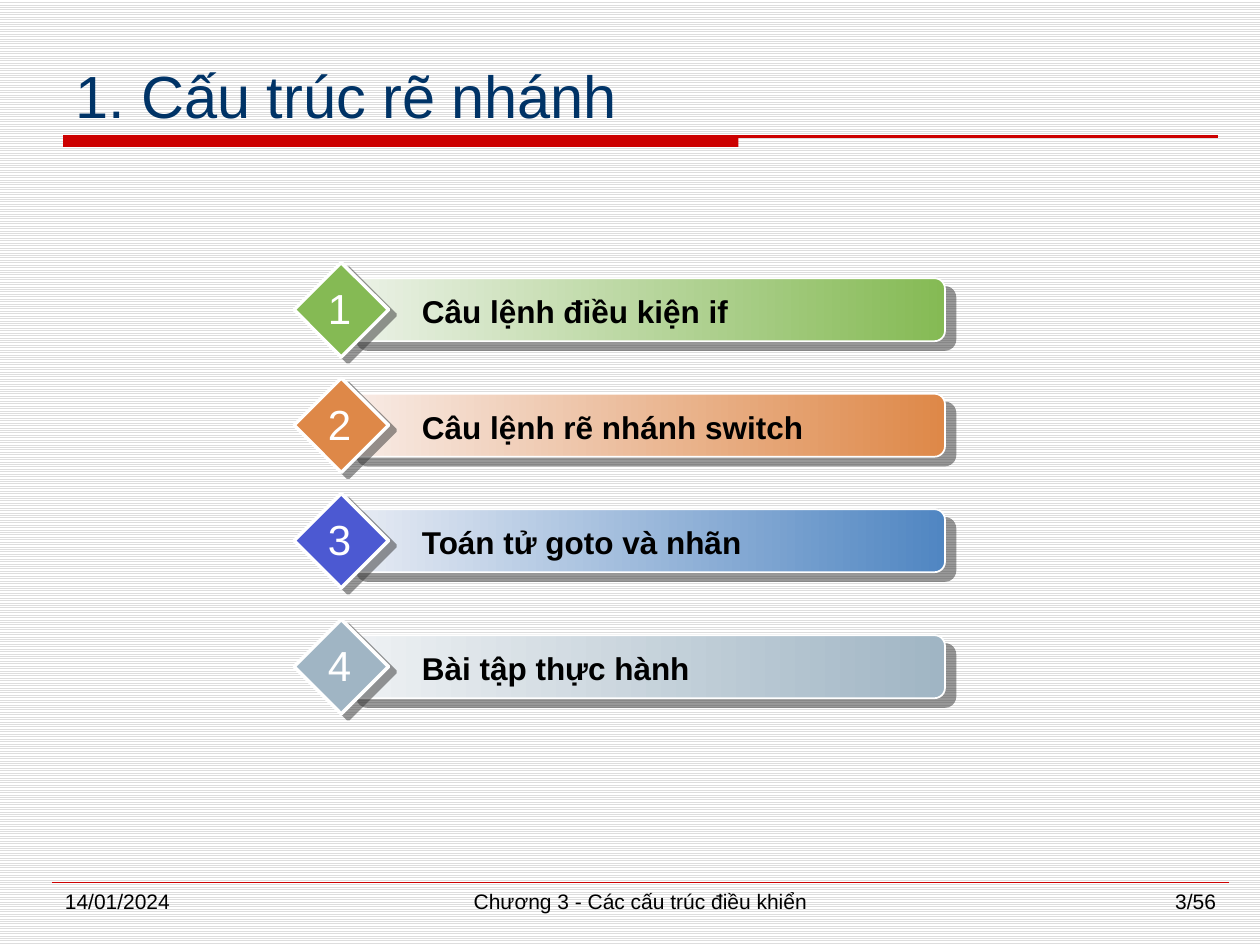
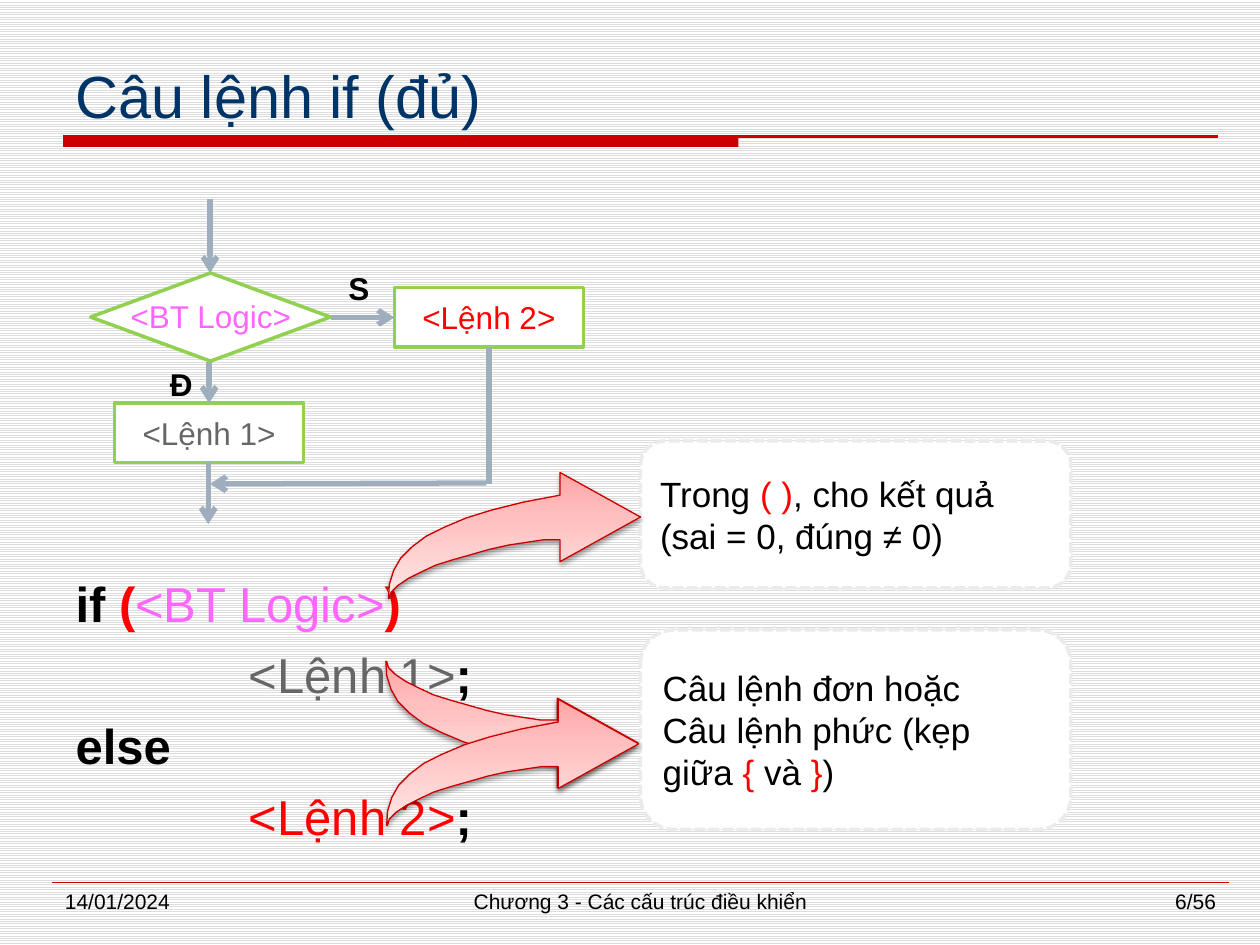
"""Build two slides on branching statements with a shared title, rule and footer."""
from lxml.etree import SubElement
from pptx import Presentation
from pptx.dml.color import RGBColor
from pptx.enum.dml import MSO_LINE, MSO_PATTERN
from pptx.enum.shapes import MSO_CONNECTOR, MSO_SHAPE
from pptx.enum.text import MSO_ANCHOR, MSO_AUTO_SIZE, PP_ALIGN
from pptx.oxml.ns import qn
from pptx.util import Pt

BLACK, WHITE, RED, PINK, GREY = "000000", "FFFFFF", "FF0000", "FF66FF", "666666"
RULE_RED, NAVY, FLOW_GREEN, FLOW_GREY = "CC0000", "003366", "92D050", "9FAEBD"
LEFT, CENTER, RIGHT = PP_ALIGN.LEFT, PP_ALIGN.CENTER, PP_ALIGN.RIGHT
TOP, MIDDLE, BOTTOM = MSO_ANCHOR.TOP, MSO_ANCHOR.MIDDLE, MSO_ANCHOR.BOTTOM


def style(shape, edge=None, width=0, fill=None, stops=None, angle=0, shadow=None):
    """Set line, solid or gradient fill, and an optional outer shadow."""
    properties = shape._element.spPr
    if fill:
        shape.fill.solid()
        shape.fill.fore_color.rgb = RGBColor.from_string(fill)
    if stops:
        shape.fill.gradient()
        shape.fill.gradient_angle = angle
        stop_list = properties.find(".//" + qn("a:gsLst"))
        stop_list.clear()
        for position, color in stops:
            stop = SubElement(stop_list, qn("a:gs"), pos=str(position * 1000))
            SubElement(stop, qn("a:srgbClr"), val=color)
    if edge:
        shape.line.color.rgb = RGBColor.from_string(edge)
        shape.line.width = Pt(width)
    else:
        shape.line.fill.background()
    effects = SubElement(properties, qn("a:effectLst"))
    if shadow:
        color, alpha, blur, distance, direction = shadow
        outer = SubElement(effects, qn("a:outerShdw"), blurRad=str(Pt(blur)),
                           dist=str(Pt(distance)), dir=str(direction * 60000),
                           algn="ctr", rotWithShape="0")
        tint = SubElement(outer, qn("a:srgbClr"), val=color)
        SubElement(tint, qn("a:alpha"), val=str(alpha * 1000))


def write(shape, lines, size, align=LEFT, anchor=TOP):
    """Fill a shape with lines, each a list of (text, colour, bold) runs."""
    frame = shape.text_frame
    frame.word_wrap = True
    frame.auto_size = MSO_AUTO_SIZE.NONE
    frame.vertical_anchor = anchor
    for index, line in enumerate(lines):
        para = frame.add_paragraph() if index else frame.paragraphs[0]
        para.alignment = align
        for text, color, bold in line:
            span = para.add_run()
            span.text = text
            span.font.name = "Arial"
            span.font.size = Pt(size)
            span.font.bold = bold
            span.font.color.rgb = RGBColor.from_string(color)


deck = Presentation()
deck.slide_width, deck.slide_height = Pt(720), Pt(540)
backdrop = deck.slide_master.background.fill
backdrop.patterned()
backdrop.pattern = MSO_PATTERN.LIGHT_HORIZONTAL
backdrop.fore_color.rgb = RGBColor.from_string("DDDDDD")
backdrop.back_color.rgb = RGBColor.from_string(WHITE)

pages = []
for layout, heading, number in [(5, "1. Cấu trúc rẽ nhánh", "3/56"),
                                (1, "Câu lệnh if (đủ)", "6/56")]:
    page = deck.slides.add_slide(deck.slide_layouts[layout])
    pages.append(page)
    title = page.shapes.title
    title.left, title.top, title.width, title.height = Pt(36), Pt(24), Pt(660), Pt(54)
    write(title, [[(heading, NAVY, False)]], 34, anchor=BOTTOM)
    band = page.shapes.add_shape(MSO_SHAPE.RECTANGLE, Pt(36), Pt(78), Pt(386), Pt(6))
    style(band, fill=RULE_RED)
    for left, right, top, width in [(36, 696, 78, 1.5), (30, 702, 504, 0.25)]:
        rule = page.shapes.add_connector(MSO_CONNECTOR.STRAIGHT, Pt(left), Pt(top), Pt(right), Pt(top))
        style(rule, RULE_RED, width)
    for left, width, text, align in [(30, 156, "14/01/2024", LEFT),
                                     (210, 312, "Chương 3 - Các cấu trúc điều khiển", CENTER),
                                     (546, 156, number, RIGHT)]:
        footer = page.shapes.add_textbox(Pt(left), Pt(504), Pt(width), Pt(25))
        write(footer, [[(text, BLACK, False)]], 12, align)

agenda_page, if_page = pages

agenda = [(150, "Câu lệnh điều kiện if", "ECF2E8", "85BA54", "85BA54"),
          (216, "Câu lệnh rẽ nhánh switch", "F8ECE7", "DE8848", "DE8848"),
          (282, "Toán tử goto và nhãn", "E8ECF4", "5086C2", "4C59D2"),
          (354, "Bài tập thực hành", "EFF2F4", "A0B5C4", "A0B5C4")]
for number, (top, topic, pale, strong, badge_color) in enumerate(agenda, 1):
    bar = agenda_page.shapes.add_shape(MSO_SHAPE.ROUNDED_RECTANGLE, Pt(198), Pt(top + 9), Pt(342), Pt(36))
    style(bar, WHITE, 1, stops=[(0, pale), (100, strong)], shadow=("333333", 50, 0, 7.8, 40))
    badge = agenda_page.shapes.add_shape(MSO_SHAPE.DIAMOND, Pt(168), Pt(top), Pt(54), Pt(54))
    style(badge, WHITE, 2, fill=badge_color, shadow=("333333", 50, 0, 5, 37))
    topic_box = agenda_page.shapes.add_textbox(Pt(234), Pt(top + 13.5), Pt(306), Pt(29))
    write(topic_box, [[(topic, BLACK, True)]], 18)
    number_box = agenda_page.shapes.add_textbox(Pt(180), Pt(top + 8), Pt(28), Pt(36))
    write(number_box, [[(str(number), WHITE, False)]], 24, CENTER)

syntax = if_page.placeholders[1]
syntax.left, syntax.top, syntax.width, syntax.height = Pt(36), Pt(324), Pt(318), Pt(174)
write(syntax, [[("if ", BLACK, True), ("(", RED, True), ("<BT Logic>", PINK, False), (")", RED, True)],
               [("<Lệnh 1>", GREY, False), (";", BLACK, True)],
               [("else", BLACK, True)],
               [("<Lệnh 2>", RED, False), (";", BLACK, True)]], 28)
for index, para in enumerate(syntax.text_frame.paragraphs):
    settings = para._p.get_or_add_pPr()
    settings.set("marL", str(Pt(99 if index % 2 else 0)))
    settings.set("indent", "0")
    SubElement(settings, qn("a:buNone"))
    para.space_before = Pt(7 if index else 0)

for left, top, text, color in [(65.5, 230.4, "<Lệnh 1>", GREY), (225.4, 164.2, "<Lệnh 2>", RED)]:
    command = if_page.shapes.add_shape(MSO_SHAPE.RECTANGLE, Pt(left), Pt(top), Pt(108), Pt(34))
    style(command, FLOW_GREEN, 2, fill=WHITE)
    write(command, [[(text, color, False)]], 18, CENTER, MIDDLE)

flows = [(120, 114, 120, 156, True), (119, 264, 119, 299.5, True),
         (189.4, 181.4, 225.4, 181.4, True), (278, 276, 120, 276.5, True),
         (279.4, 198, 279.4, 276.5, False), (119.5, 206.6, 119.5, 230.4, True)]
for *ends, has_head in flows:
    flow = if_page.shapes.add_connector(MSO_CONNECTOR.STRAIGHT, *[Pt(value) for value in ends])
    style(flow, FLOW_GREY, 3)
    if has_head:
        SubElement(flow.line._get_or_add_ln(), qn("a:tailEnd"), type="arrow")

condition = if_page.shapes.add_shape(MSO_SHAPE.DIAMOND, Pt(51.8), Pt(156), Pt(137), Pt(50.4))
style(condition, FLOW_GREEN, 2, fill=WHITE)
condition_box = if_page.shapes.add_textbox(Pt(60.5), Pt(165.6), Pt(120), Pt(30))
write(condition_box, [[("<BT Logic>", PINK, False)]], 18, CENTER, MIDDLE)
for left, top, branch in [(90, 205.2, "Đ"), (192, 150, "S")]:
    branch_box = if_page.shapes.add_textbox(Pt(left), Pt(top), Pt(30), Pt(29))
    write(branch_box, [[(branch, BLACK, True)]], 18)

callouts = [
    (360, 114, [[("Câu lệnh đơn hoặc", BLACK, False)],
                [("Câu lệnh phức (kẹp", BLACK, False)],
                [("giữa ", BLACK, False), ("{", RED, False), (" và ", BLACK, False),
                 ("}", RED, False), (")", BLACK, False)]]),
    (252, 84, [[("Trong ", BLACK, False), ("( )", RED, False), (", cho kết quả", BLACK, False)],
               [("(sai = 0, đúng ≠ 0)", BLACK, False)]])]
for top, height, lines in callouts:
    callout = if_page.shapes.add_shape(MSO_SHAPE.ROUNDED_RECTANGLE, Pt(366), Pt(top), Pt(246), Pt(height))
    style(callout, "EBEBEB", 2, fill=WHITE)
    callout.line.dash_style = MSO_LINE.SQUARE_DOT
    write(callout, lines, 20, anchor=MIDDLE)

arrow_outline = [(0.5, 8), (3, 16), (7, 23), (13.5, 29.5), (21.5, 35.5), (31.5, 40.5), (44.5, 46),
                 (59, 50.5), (77, 55), (98, 59), (98, 72), (144, 46.5), (98, 21), (98, 33.5),
                 (88.5, 33.5), (78.5, 32), (68.5, 30.5), (57.5, 28), (47, 25), (36.5, 22),
                 (27, 19), (18.5, 15), (11.5, 11.5), (5.5, 7.5), (1.5, 3.5), (0.5, 0)]
for left, start, direction in [(222, 342, -1), (220.5, 378, 1), (221, 471.6, -1)]:
    outline = if_page.shapes.build_freeform(Pt(left), Pt(start))
    outline.add_line_segments([(Pt(left + across), Pt(start + direction * rise))
                               for across, rise in arrow_outline], close=True)
    arrow = outline.convert_to_shape()
    style(arrow, "C80000", 0.75, stops=[(0, "FFA5A5"), (35, "FFBFBF"), (100, "FFE7E7")],
          angle=270, shadow=(BLACK, 38, 3.1, 1.6, 90))

deck.save("out.pptx")
